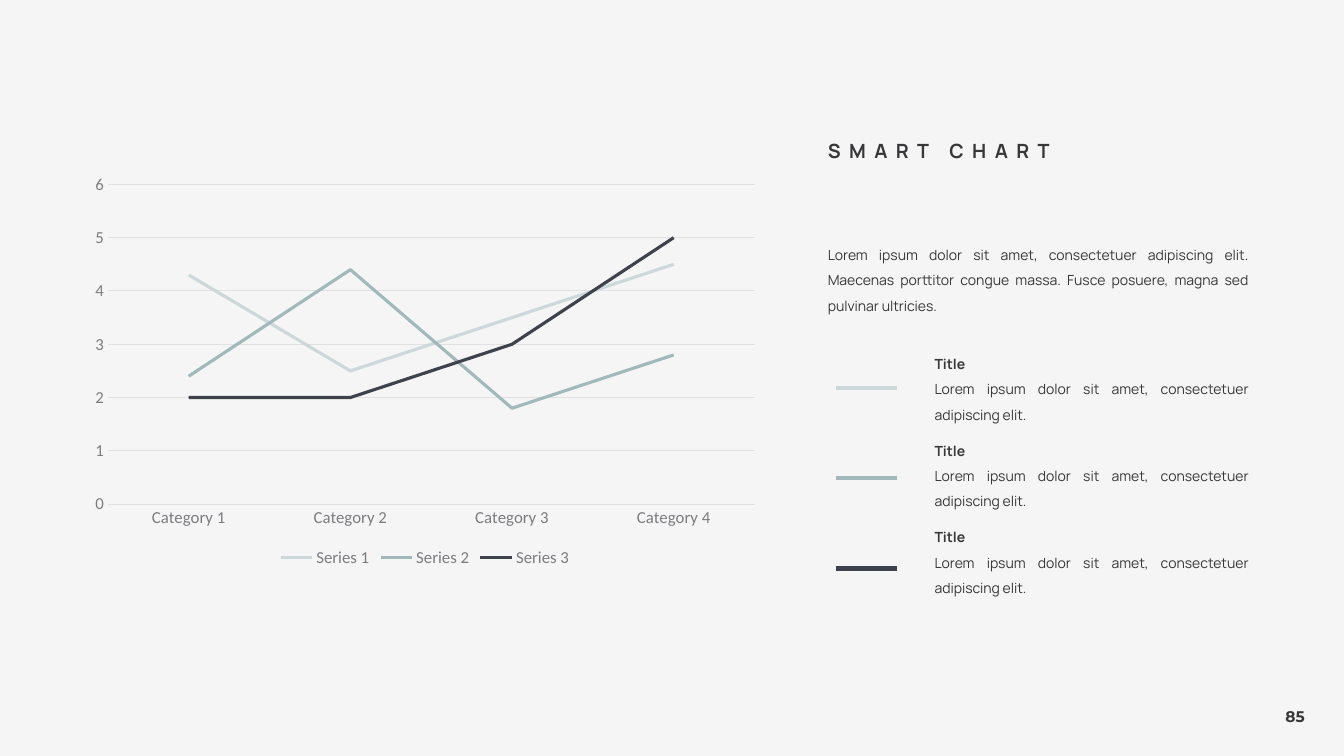
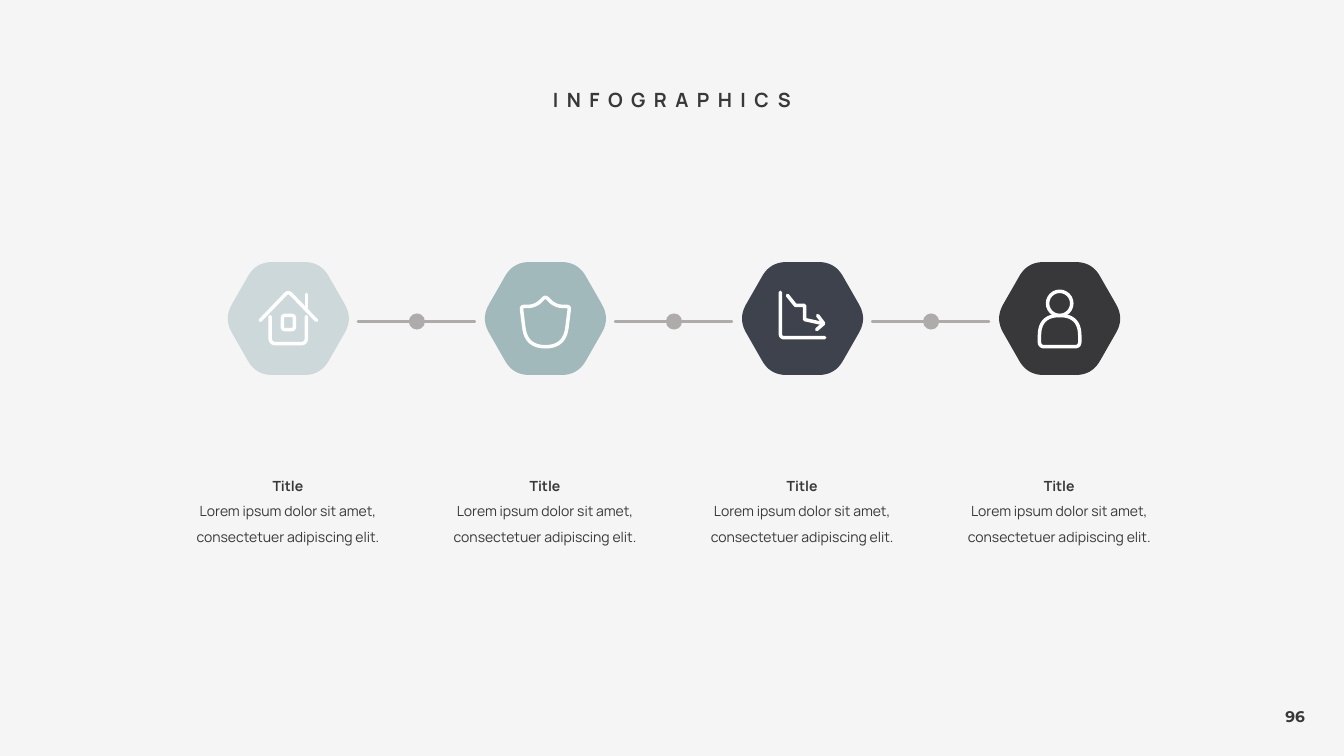
from dataclasses import dataclass
from math import dist

from lxml.etree import SubElement
from pptx import Presentation
from pptx.chart.data import CategoryChartData
from pptx.dml.color import RGBColor
from pptx.enum.chart import XL_CHART_TYPE, XL_LEGEND_POSITION, XL_TICK_MARK
from pptx.enum.shapes import MSO_CONNECTOR, MSO_SHAPE
from pptx.enum.text import MSO_ANCHOR as Anchor
from pptx.enum.text import MSO_AUTO_SIZE
from pptx.enum.text import PP_ALIGN as Align
from pptx.oxml.ns import qn
from pptx.util import Inches, Pt

# Shared look
BACKGROUND = RGBColor(0xF5, 0xF5, 0xF5)
INK = RGBColor(0x38, 0x38, 0x3A)
MIST = RGBColor(0xCD, 0xD8, 0xDA)
SAGE = RGBColor(0xA1, 0xB9, 0xBB)
SLATE = RGBColor(0x3E, 0x42, 0x4C)
WHITE = RGBColor(0xFF, 0xFF, 0xFF)
CHAIN_GRAY = RGBColor(0xAF, 0xAB, 0xAB)
AXIS_TEXT = RGBColor(0x7C, 0x7C, 0x81)
GRID = RGBColor(0xE1, 0xE1, 0xE2)
TEXT_FONT, NUMBER_FONT, CHART_FONT = "Manrope", "Montserrat", "Calibri"

SENTENCE = "Lorem ipsum dolor sit amet, consectetuer adipiscing elit."
INTRO = (SENTENCE + " Maecenas porttitor congue massa. "
         "Fusce posuere, magna sed pulvinar ultricies.")

Point = tuple[float, float]


@dataclass(frozen=True)
class Box:
    left: float
    top: float
    width: float
    height: float

    def lengths(self) -> list[int]:
        return [Inches(v) for v in (self.left, self.top, self.width, self.height)]


@dataclass(frozen=True)
class Series:
    name: str
    values: tuple[float, ...]
    color: RGBColor
    key_y: float


@dataclass(frozen=True)
class Stroke:
    """White icon line; points are offsets from the hexagon centre."""
    points: tuple[Point, ...]
    cuts: tuple[float, ...] = (0,)
    closed: bool = False


@dataclass(frozen=True)
class Step:
    color: RGBColor
    icon: tuple[Stroke, ...]


SERIES = (
    Series("Series 1", (4.3, 2.5, 3.5, 4.5), MIST, 3.85),
    Series("Series 2", (2.4, 4.4, 1.8, 2.8), SAGE, 4.74),
    Series("Series 3", (2, 2, 3, 5), SLATE, 5.64),
)

HOUSE = (
    Stroke(((-.18, -.02), (-.18, .25), (.18, .25), (.18, -.02)), (.06,)),
    Stroke(((-.28, .02), (0, -.27), (.28, .02)), (.04,)),
    Stroke(((.18, -.24), (.18, -.09))),
    Stroke(((-.06, -.03), (.06, -.03), (.06, .11), (-.06, .11)), (.03,), True),
)
SHIELD = (
    Stroke(((0, -.22), (.1, -.12), (.24, -.12), (.19, .28),
            (-.19, .28), (-.24, -.12), (-.1, -.12)),
           (.03, .08, .03, .19, .19, .03, .08), True),
)
FALLING_CHART = (
    Stroke(((-.22, -.26), (-.22, .19), (.22, .19)), (.04,)),
    Stroke(((-.15, -.23), (-.07, -.13), (.02, -.13), (.02, .01), (.2, .05))),
    Stroke(((.15, -.03), (.21, .05), (.14, .11))),
)
PERSON_BODY = (
    Stroke(((-.2, -.03), (.2, -.03), (.2, .28), (-.2, .28)),
           (.2, .2, .05, .05), True),
)
STEPS = (Step(MIST, HOUSE), Step(SAGE, SHIELD),
         Step(SLATE, FALLING_CHART), Step(INK, PERSON_BODY))

HEXAGON = ((-.32, -.56), (.32, -.56), (.64, 0), (.32, .56), (-.32, .56), (-.64, 0))
FIRST_X, STEP_GAP, STEP_Y, CHAIN_Y = 2.86, 2.55, 3.16, 3.19
ICON_WEIGHT = 2.5


# Text
def add_span(para, text: str, size: float = 10, bold: bool = False,
             font: str = TEXT_FONT):
    span = para.add_run()
    span.text = text
    span.font.name, span.font.size, span.font.bold = font, Pt(size), bold
    span.font.color.rgb = INK
    return span


def format_para(para, align: Align) -> None:
    para.alignment = align
    para.line_spacing = 1.5
    para.space_before = Pt(0)


def format_frame(frame, anchor: Anchor) -> None:
    frame.word_wrap = True
    frame.auto_size = MSO_AUTO_SIZE.NONE
    frame.vertical_anchor = anchor


def place(shape, box: Box) -> None:
    shape.left, shape.top, shape.width, shape.height = box.lengths()


def set_title(page, text: str, box: Box, align: Align) -> None:
    title = page.shapes.title
    place(title, box)
    format_frame(title.text_frame, Anchor.BOTTOM)
    para = title.text_frame.paragraphs[0]
    format_para(para, align)
    span = add_span(para, text, 14, True)
    span.font._element.set("spc", "600")


def add_label(page, box: Box, align: Align) -> None:
    frame = page.shapes.add_textbox(*box.lengths()).text_frame
    format_frame(frame, Anchor.MIDDLE)
    for para, text, bold in ((frame.paragraphs[0], "Title", True),
                             (frame.add_paragraph(), SENTENCE, False)):
        format_para(para, align)
        add_span(para, text, bold=bold)


def add_page_number(page, number: str) -> None:
    box = page.shapes.add_textbox(*Box(12.65, 6.97, 0.41, 0.29).lengths())
    add_span(box.text_frame.paragraphs[0], number, 11, True, NUMBER_FONT)


# Lines and outlines
def set_line(shape, color: RGBColor, weight: float, rounded: bool = False) -> None:
    shape.line.color.rgb = color
    shape.line.width = Pt(weight)
    if rounded:
        line = shape._element.spPr.find(qn("a:ln"))
        line.set("cap", "rnd")
        SubElement(line, qn("a:round"))


def add_line(page, start: Point, end: Point, color: RGBColor, weight: float,
             rounded: bool = False) -> None:
    ends = [Inches(v) for v in (*start, *end)]
    line = page.shapes.add_connector(MSO_CONNECTOR.STRAIGHT, *ends)
    set_line(line, color, weight, rounded)
    SubElement(line._element.spPr, qn("a:effectLst"))


def toward(start: Point, end: Point, length: float) -> Point:
    share = length / dist(start, end)
    return (start[0] + (end[0] - start[0]) * share,
            start[1] + (end[1] - start[1]) * share)


def round_corners(points: tuple[Point, ...], cuts: tuple[float, ...],
                  closed: bool) -> list[Point]:
    """Replace each corner by a quadratic curve that starts cut away from it."""
    outline = []
    last = len(points) - 1
    for i, corner in enumerate(points):
        cut = cuts[i % len(cuts)]
        if cut == 0 or (not closed and i in (0, last)):
            outline.append(corner)
            continue
        start = toward(corner, points[i - 1], cut)
        end = toward(corner, points[(i + 1) % len(points)], cut)
        for n in range(13):
            t = n / 12
            outline.append(tuple((1 - t) ** 2 * a + 2 * t * (1 - t) * b + t * t * c
                                 for a, b, c in zip(start, corner, end)))
    return outline


def add_outline(page, center: Point, points: tuple[Point, ...],
                cuts: tuple[float, ...], closed: bool = True):
    spots = [(Inches(center[0] + x), Inches(center[1] + y))
             for x, y in round_corners(points, cuts, closed)]
    builder = page.shapes.build_freeform(*spots[0])
    builder.add_line_segments(spots[1:], close=closed)
    shape = builder.convert_to_shape()
    shape.shadow.inherit = False
    return shape


def add_stroke(page, center: Point, stroke: Stroke) -> None:
    if len(stroke.points) == 2:
        start, end = ((center[0] + x, center[1] + y) for x, y in stroke.points)
        add_line(page, start, end, WHITE, ICON_WEIGHT, True)
        return
    shape = add_outline(page, center, stroke.points, stroke.cuts, stroke.closed)
    shape.fill.background()
    set_line(shape, WHITE, ICON_WEIGHT, True)


def add_circle(page, center: Point, radius: float):
    box = Box(center[0] - radius, center[1] - radius, 2 * radius, 2 * radius)
    circle = page.shapes.add_shape(MSO_SHAPE.OVAL, *box.lengths())
    circle.shadow.inherit = False
    return circle


# Chart
def set_chart_font(font) -> None:
    font.name, font.size, font.color.rgb = CHART_FONT, Pt(12), AXIS_TEXT


def add_line_chart(page, box: Box) -> None:
    data = CategoryChartData()
    data.categories = [f"Category {n}" for n in range(1, 5)]
    for series in SERIES:
        data.add_series(series.name, series.values)
    chart = page.shapes.add_chart(XL_CHART_TYPE.LINE, *box.lengths(), data).chart
    set_chart_font(chart.font)
    chart.has_title = False
    chart.has_legend = True
    chart.legend.position = XL_LEGEND_POSITION.BOTTOM
    chart.legend.include_in_layout = False
    set_chart_font(chart.legend.font)

    values, categories = chart.value_axis, chart.category_axis
    for axis in (values, categories):
        axis.major_tick_mark = axis.minor_tick_mark = XL_TICK_MARK.NONE
        set_chart_font(axis.tick_labels.font)
    values.minimum_scale, values.maximum_scale, values.major_unit = 0, 6, 1
    values.has_major_gridlines = True
    values.format.line.fill.background()
    for line in (values.major_gridlines.format.line, categories.format.line):
        line.color.rgb, line.width = GRID, Pt(0.75)

    plot = chart.plots[0]
    plot.vary_by_categories = False
    for drawn, series in zip(plot.series, SERIES):
        drawn.smooth = False
        drawn.format.line.color.rgb = series.color
        drawn.format.line.width = Pt(2.25)


# Slides
def build_chart_page(deck) -> None:
    page = deck.slides.add_slide(deck.slide_layouts[1])
    add_page_number(page, "85")
    add_line_chart(page, Box(0.81, 1.65, 6.81, 4.02))
    set_title(page, "SMART CHART", Box(8.11, 1.25, 4.37, 0.41), Align.LEFT)

    body = page.placeholders[1]
    place(body, Box(8.11, 2.31, 4.37, 0.86))
    format_frame(body.text_frame, Anchor.MIDDLE)
    para = body.text_frame.paragraphs[0]
    properties = para._p.get_or_add_pPr()
    properties.set("marL", "0")
    properties.set("indent", "0")
    SubElement(properties, qn("a:buNone"))
    format_para(para, Align.JUSTIFY)
    add_span(para, INTRO)

    for i, series in enumerate(SERIES):
        add_label(page, Box(9.17, 3.39 + 0.86 * i, 3.31, 0.86), Align.JUSTIFY)
        add_line(page, (8.29, series.key_y), (8.9, series.key_y), series.color, 3)


def build_steps_page(deck) -> None:
    page = deck.slides.add_slide(deck.slide_layouts[5])
    add_page_number(page, "96")
    set_title(page, "INFOGRAPHICS", Box(4.48, 0.75, 4.37, 0.41), Align.CENTER)

    for i, step in enumerate(STEPS):
        x = FIRST_X + STEP_GAP * i
        hexagon = add_outline(page, (x, STEP_Y), HEXAGON, (.16,))
        hexagon.fill.solid()
        hexagon.fill.fore_color.rgb = step.color
        hexagon.line.fill.background()
        for stroke in step.icon:
            add_stroke(page, (x, STEP_Y), stroke)
        if step.icon is PERSON_BODY:
            head = add_circle(page, (x, STEP_Y - 0.15), 0.12)
            head.fill.background()
            set_line(head, WHITE, ICON_WEIGHT)
        add_label(page, Box(x - 1.08, 4.6, 2.15, 0.86), Align.CENTER)

        # Link to the next step
        if i < len(STEPS) - 1:
            add_line(page, (x + 0.69, CHAIN_Y), (x + 1.85, CHAIN_Y),
                     CHAIN_GRAY, 1.75, True)
            dot = add_circle(page, (x + STEP_GAP / 2, CHAIN_Y), 0.08)
            dot.fill.solid()
            dot.fill.fore_color.rgb = CHAIN_GRAY
            dot.line.fill.background()


def main() -> None:
    deck = Presentation()
    deck.slide_width, deck.slide_height = Inches(13.33), Inches(7.5)
    backdrop = deck.slide_master.background.fill
    backdrop.solid()
    backdrop.fore_color.rgb = BACKGROUND
    build_chart_page(deck)
    build_steps_page(deck)
    deck.save("out.pptx")


if __name__ == "__main__":
    main()
